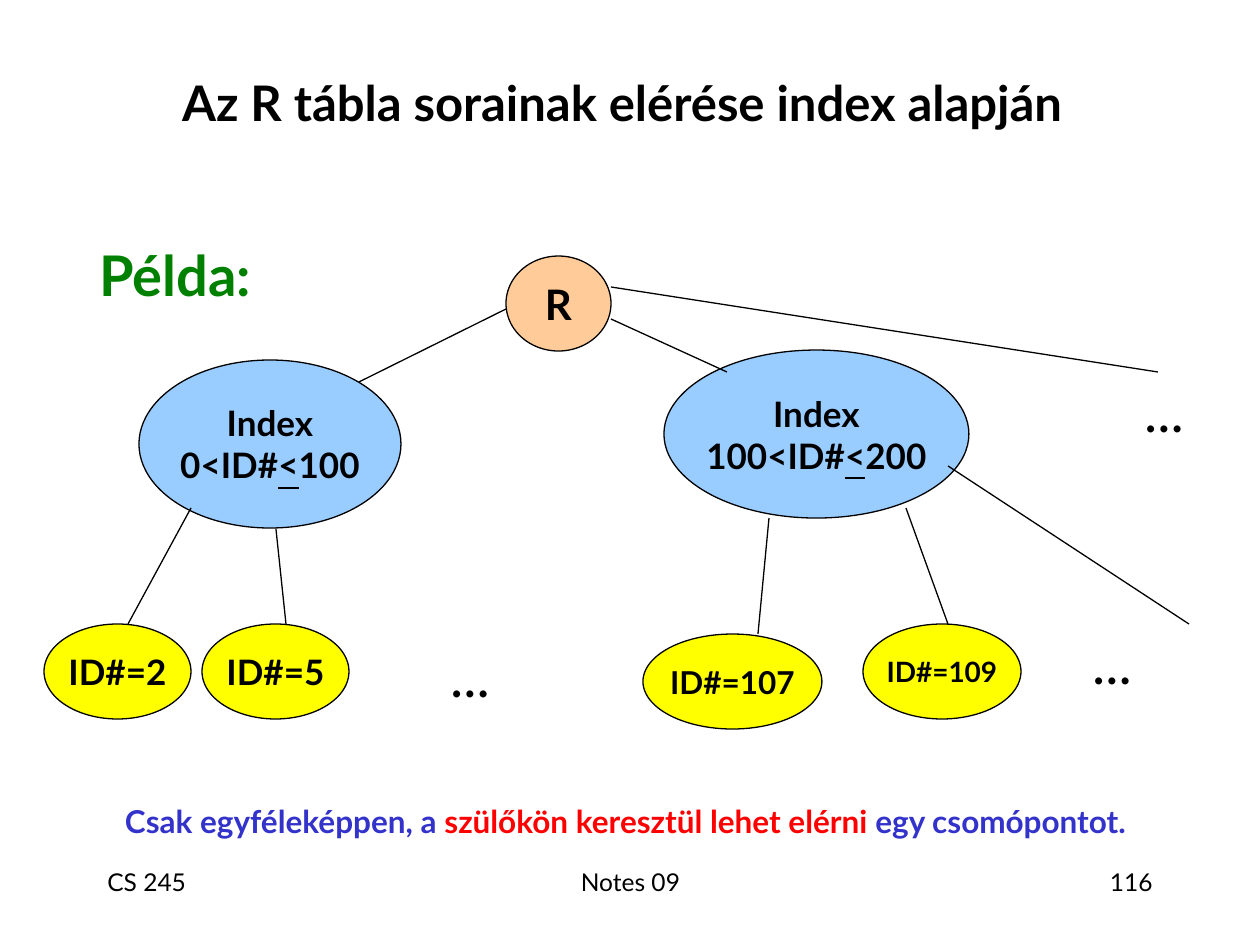
"""Build a slide with an index tree that leads to the rows of table R."""
import pptx
import pptx.dml.color
import pptx.enum.shapes
import pptx.enum.text
import pptx.oxml
import pptx.util

COLORS = {
    "black": "000000", "green": "008000", "blue": "3333CC", "red": "FF0000",
    "root": "FFCC99", "index": "99CCFF", "row": "FFFF00",
}
ALIGN = pptx.enum.text.PP_ALIGN
ANCHOR = pptx.enum.text.MSO_ANCHOR
FONT = "Lato"


def px(length):
    return pptx.util.Emu(round(length * 914400 / 126))


def rgb(name):
    return pptx.dml.color.RGBColor.from_string(COLORS[name])


def write_text(frame, lines, size=20, color="black", bold=True,
               align=ALIGN.CENTER, anchor=ANCHOR.MIDDLE, wrap=True):
    """Fill a frame with lines, each a list of (text, run overrides) pairs."""
    frame.word_wrap = wrap
    frame.vertical_anchor = anchor
    if isinstance(lines, str):
        lines = [[(lines, {})]]
    for number, runs in enumerate(lines):
        paragraph = frame.add_paragraph() if number else frame.paragraphs[0]
        paragraph.alignment = align
        for text, overrides in runs:
            run = paragraph.add_run()
            run.text = text
            run.font.name = FONT
            run.font.size = pptx.util.Pt(size)
            run.font.bold = bold
            run.font.color.rgb = rgb(overrides.get("color", color))
            if overrides.get("underline"):
                run.font.underline = True


class TreeSlide:
    """Hold the current slide and its shared line style."""

    def __init__(self, presentation):
        self.slide = presentation.slides.add_slide(presentation.slide_layouts[5])
        self.line_width = pptx.util.Pt(0.75)

    def style_line(self, line):
        line.color.rgb = rgb("black")
        line.width = self.line_width

    def title(self, text, left, top, width, height, **style):
        shape = self.slide.shapes.title
        shape.left, shape.top = px(left), px(top)
        shape.width, shape.height = px(width), px(height)
        write_text(shape.text_frame, text, **style)

    def text(self, text, left, top, width, height, **style):
        shape = self.slide.shapes.add_textbox(px(left), px(top), px(width), px(height))
        write_text(shape.text_frame, text, **style)

    def node(self, text, left, top, width, height, fill, **style):
        shape = self.slide.shapes.add_shape(
            pptx.enum.shapes.MSO_SHAPE.OVAL, px(left), px(top), px(width), px(height))
        shape.shadow.inherit = False
        shape.fill.solid()
        shape.fill.fore_color.rgb = rgb(fill)
        self.style_line(shape.line)
        write_text(shape.text_frame, text, wrap=False, **style)

    def edge(self, x1, y1, x2, y2):
        connector = self.slide.shapes.add_connector(
            pptx.enum.shapes.MSO_CONNECTOR.STRAIGHT, px(x1), px(y1), px(x2), px(y2))
        self.style_line(connector.line)
        properties = connector.element.spPr
        properties.append(properties.makeelement(pptx.oxml.ns.qn("a:effectLst"), {}))


def index_lines(low, high):
    return [[("Index", {})],
            [(f"{low}<ID#", {}), ("<", {"underline": True}), (str(high), {})]]


def main():
    presentation = pptx.Presentation()
    presentation.slide_width, presentation.slide_height = px(1260), px(945)
    tree = TreeSlide(presentation)

    tree.title("Az R tábla sorainak elérése index alapján", 46, 48, 1152, 107, size=28)
    tree.text("Példa:", 87, 234, 300, 80, size=32, color="green",
              align=ALIGN.LEFT, anchor=ANCHOR.TOP)

    tree.node("R", 506, 256, 105, 95, "root", size=24)
    tree.node(index_lines(0, 100), 139, 360, 262, 168, "index")
    tree.node(index_lines(100, 200), 664, 350, 305, 168, "index")
    for text, left, top, width, size in [
        ("ID#=2", 44, 624, 147, 20),
        ("ID#=5", 202, 624, 147, 20),
        ("ID#=107", 643, 634, 179, 18),
        ("ID#=109", 863, 624, 158, 16),
    ]:
        tree.node(text, left, top, width, 95, "row", size=size)

    for ends in [
        (191, 508, 128, 624), (276, 529, 286, 624),
        (769, 518, 758, 634), (906, 508, 948, 624), (948, 466, 1189, 624),
        (506, 309, 359, 382), (611, 319, 727, 372), (611, 287, 1158, 372),
    ]:
        tree.edge(*ends)

    for left, top in [(435, 635), (1129, 370), (1077, 622)]:
        tree.text("...", left, top, 70, 81, size=32, bold=False, wrap=False)

    sentence = [("Csak egyféleképpen, a ", {}),
                ("szülőkön keresztül lehet elérni", {"color": "red"}),
                (" egy csomópontot.", {})]
    tree.text([sentence], 34, 796, 1183, 50, size=18, color="blue", anchor=ANCHOR.TOP)

    for text, left, width, align in [
        ("Notes 09", 431, 399, ALIGN.CENTER),
        ("116", 903, 262, ALIGN.RIGHT),
        ("CS 245", 95, 262, ALIGN.LEFT),
    ]:
        tree.text(text, left, 861, width, 63, size=14, bold=False,
                  align=align, anchor=ANCHOR.TOP)

    presentation.save("out.pptx")


if __name__ == "__main__":
    main()
